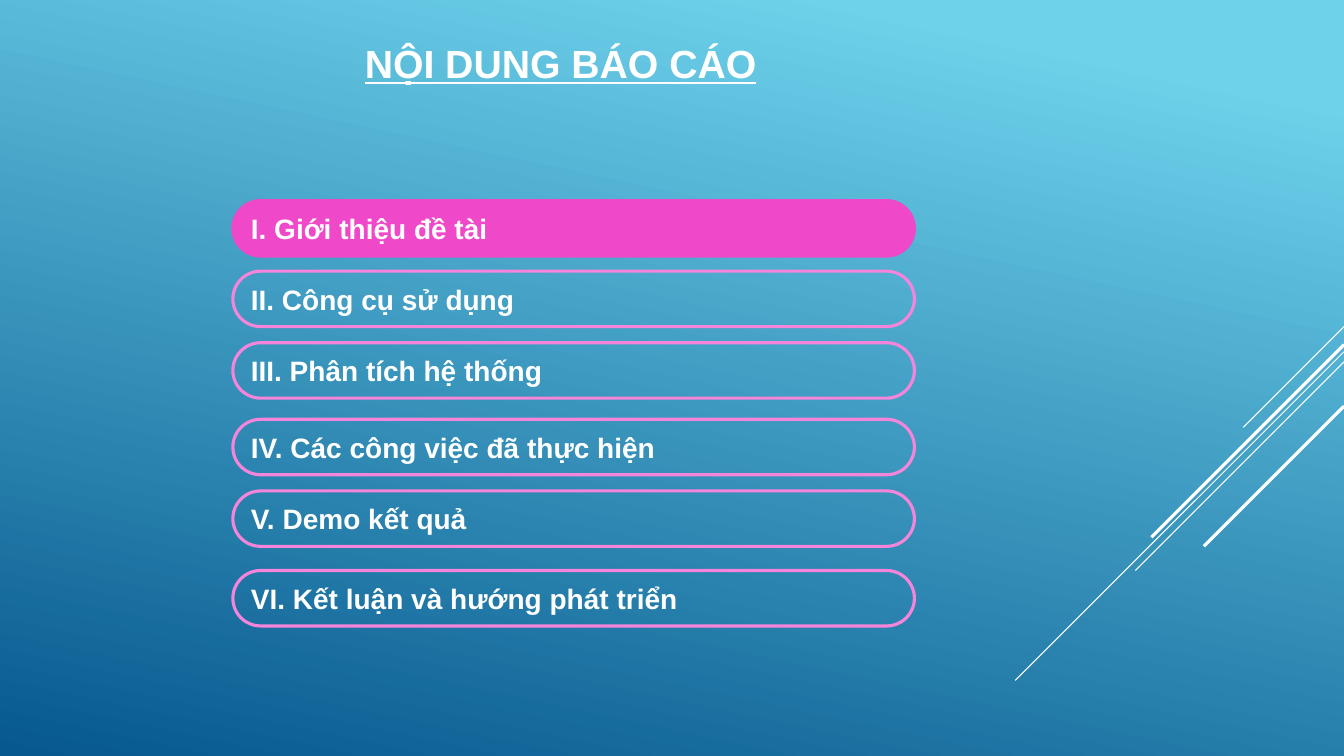
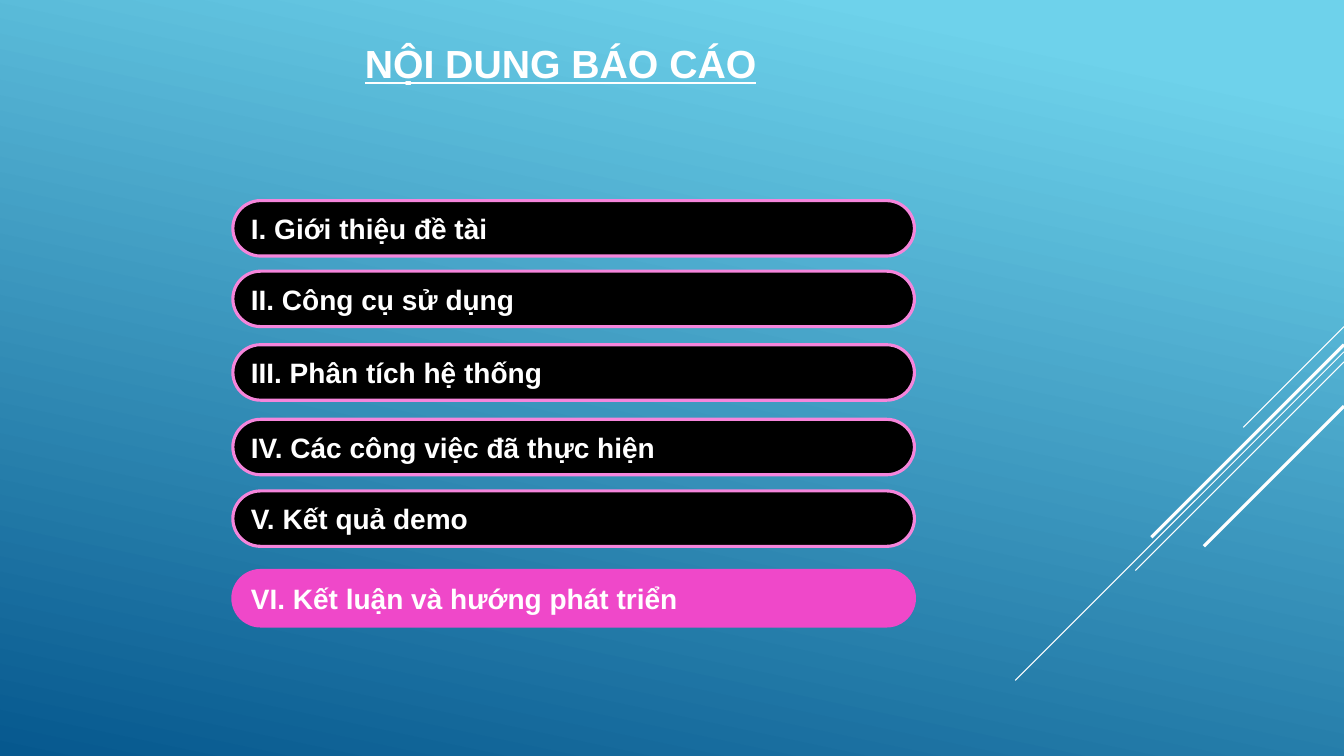
from dataclasses import dataclass

from lxml.etree import SubElement
from pptx import Presentation
from pptx.dml.color import RGBColor
from pptx.enum.shapes import MSO_CONNECTOR, MSO_SHAPE
from pptx.enum.text import MSO_ANCHOR, PP_ALIGN
from pptx.oxml.ns import qn
from pptx.util import Inches, Pt


@dataclass(frozen=True)
class Theme:
    sky: str = "6ED2EB"
    deep: str = "06588E"
    white: str = "FFFFFF"
    black: str = "000000"
    accent: str = "EF48C9"
    outline: str = "F585DB"
    font: str = "Arial"
    title_size: int = 28
    item_size: int = 20
    item_line: float = 2.25


THEME = Theme()
WIDTH, HEIGHT = 13.33, 7.5
TITLE = "NỘI DUNG BÁO CÁO"
TITLE_BOX = (0.17, 0.25, 10.78, 0.75)
ITEM_LEFT, ITEM_WIDTH, ITEM_HEIGHT = 2.31, 6.76, 0.55

INTRODUCTION = "I. Giới thiệu đề tài"
TOOLS = "II. Công cụ sử dụng"
ANALYSIS = "III. Phân tích hệ thống"
WORK_DONE = "IV. Các công việc đã thực hiện"
CONCLUSION = "VI. Kết luận và hướng phát triển"

AGENDAS = [
    {
        "items": [INTRODUCTION, TOOLS, ANALYSIS, WORK_DONE, "V. Demo kết quả", CONCLUSION],
        "tops": [1.99, 2.69, 3.4, 4.16, 4.87, 5.66],
        "current": INTRODUCTION,
        "item_fill": None,
    },
    {
        "items": [INTRODUCTION, TOOLS, ANALYSIS, WORK_DONE, "V. Kết quả demo", CONCLUSION],
        "tops": [1.99, 2.69, 3.42, 4.16, 4.87, 5.66],
        "current": CONCLUSION,
        "item_fill": THEME.black,
    },
]

# Start height on the right edge, horizontal reach, line weight
DIAGONALS = [
    (3.24, 1.0, 0.75),
    (3.49, 3.26, 0.75),
    (3.59, 2.07, 0.75),
    (3.42, 1.91, 2.25),
    (4.03, 1.39, 2.25),
]


def color(value):
    return RGBColor.from_string(value)


def add_text(paragraph, text, size, underline=False):
    run = paragraph.add_run()
    run.text = text
    run.font.name = THEME.font
    run.font.size = Pt(size)
    run.font.bold = True
    run.font.underline = underline
    run.font.color.rgb = color(THEME.white)


def style_layout(layout):
    fill = layout.background.fill
    fill.gradient()
    fill.gradient_angle = 360 - 102
    stops = [(0.1, THEME.sky), (1.0, THEME.deep)]
    for stop, (position, value) in zip(fill.gradient_stops, stops):
        stop.position = position
        stop.color.rgb = color(value)
    title = layout.placeholders[0]
    title.left, title.top, title.width, title.height = map(Inches, TITLE_BOX)
    title.text_frame.vertical_anchor = MSO_ANCHOR.MIDDLE


def add_diagonals(slide, layout):
    for top, reach, weight in DIAGONALS:
        ends = map(Inches, (WIDTH, top, WIDTH - reach, top + reach))
        line = slide.shapes.add_connector(MSO_CONNECTOR.STRAIGHT, *ends)
        line.line.color.rgb = color(THEME.white)
        line.line.width = Pt(weight)
        SubElement(line.element.spPr, qn("a:effectLst"))
        layout.element.cSld.spTree.append(line.element)


def add_title(slide):
    paragraph = slide.shapes.title.text_frame.paragraphs[0]
    paragraph.alignment = PP_ALIGN.CENTER
    add_text(paragraph, TITLE, THEME.title_size, underline=True)


def add_item(slide, text, top, fill, outline):
    box = map(Inches, (ITEM_LEFT, top, ITEM_WIDTH, ITEM_HEIGHT))
    shape = slide.shapes.add_shape(MSO_SHAPE.ROUNDED_RECTANGLE, *box)
    shape.adjustments[0] = 0.5
    shape.shadow.inherit = False
    if fill:
        shape.fill.solid()
        shape.fill.fore_color.rgb = color(fill)
    else:
        shape.fill.background()
    shape.line.color.rgb = color(outline)
    shape.line.width = Pt(THEME.item_line)
    shape.text_frame.vertical_anchor = MSO_ANCHOR.MIDDLE
    paragraph = shape.text_frame.paragraphs[0]
    paragraph.alignment = PP_ALIGN.LEFT
    add_text(paragraph, text, THEME.item_size)


def main():
    presentation = Presentation()
    presentation.slide_width = Inches(WIDTH)
    presentation.slide_height = Inches(HEIGHT)
    layout = presentation.slide_layouts[5]
    style_layout(layout)
    for agenda in AGENDAS:
        slide = presentation.slides.add_slide(layout)
        add_title(slide)
        for text, top in zip(agenda["items"], agenda["tops"]):
            if text == agenda["current"]:
                add_item(slide, text, top, THEME.accent, THEME.accent)
            else:
                add_item(slide, text, top, agenda["item_fill"], THEME.outline)
    add_diagonals(presentation.slides[0], layout)
    presentation.save("out.pptx")


if __name__ == "__main__":
    main()
